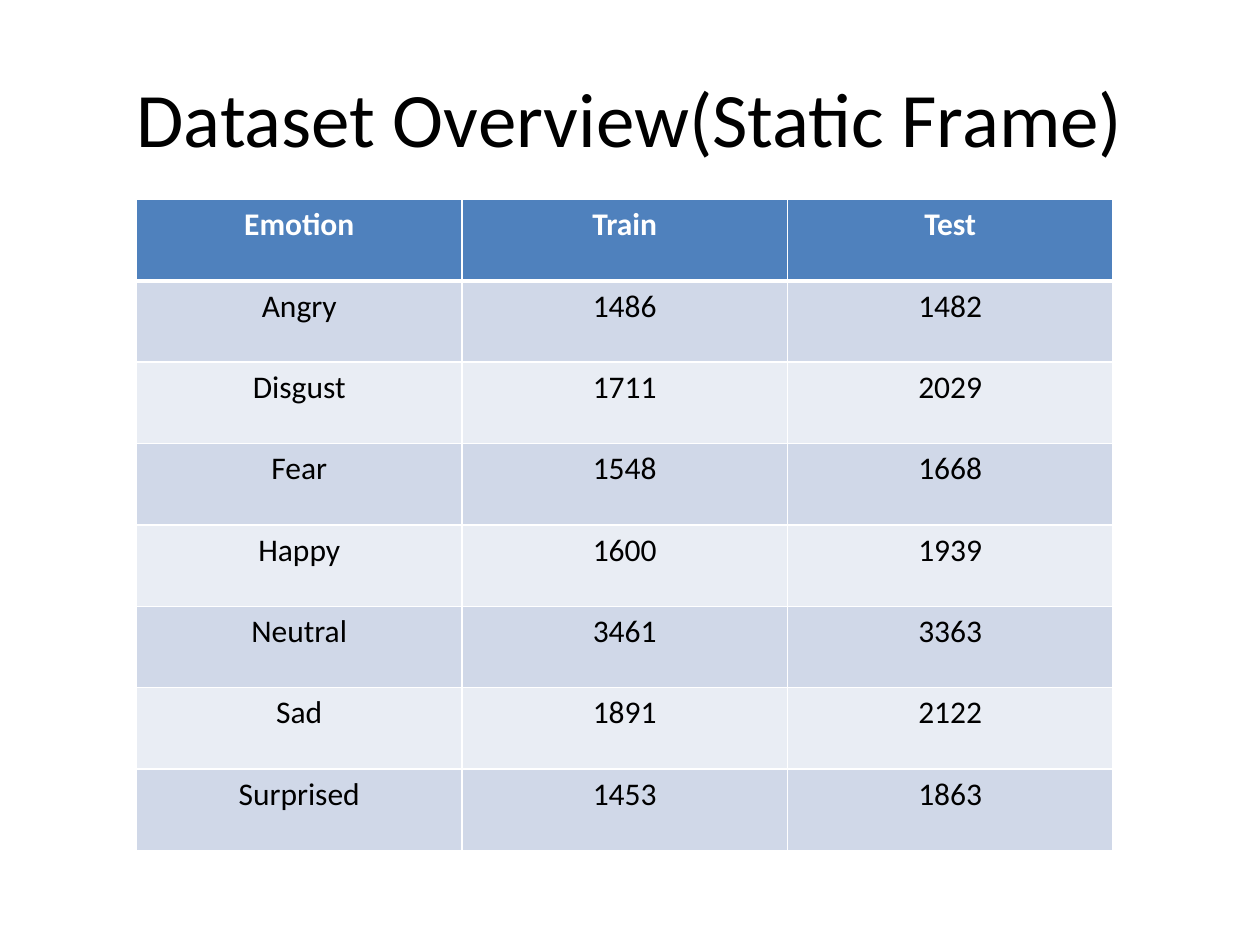
from lxml import etree
from pptx import Presentation
from pptx.dml.color import RGBColor
from pptx.enum.text import MSO_ANCHOR, PP_ALIGN
from pptx.oxml.ns import qn
from pptx.util import Pt

CENTER = PP_ALIGN.CENTER
MIDDLE = MSO_ANCHOR.MIDDLE
BLACK = RGBColor(0x00, 0x00, 0x00)
WHITE = RGBColor(0xFF, 0xFF, 0xFF)
HEADER_BLUE = RGBColor(0x4F, 0x81, 0xBD)
BAND_DARK = RGBColor(0xD0, 0xD8, 0xE8)
BAND_LIGHT = RGBColor(0xE9, 0xED, 0xF4)
FONT = "Calibri"

ROWS = [
    ("Emotion", "Train", "Test"),
    ("Angry", 1486, 1482),
    ("Disgust", 1711, 2029),
    ("Fear", 1548, 1668),
    ("Happy", 1600, 1939),
    ("Neutral", 3461, 3363),
    ("Sad", 1891, 2122),
    ("Surprised", 1453, 1863),
]


def format_paragraph(paragraph, size, color, bold=False):
    paragraph.alignment = CENTER
    font = paragraph.runs[0].font
    font.name = FONT
    font.size = Pt(size)
    font.bold = bold
    font.color.rgb = color


def add_border(cell, side, width):
    """Draw a white border on one side (L, R, T or B); call before filling the cell."""
    properties = cell._tc.get_or_add_tcPr()
    line = etree.SubElement(properties, qn(f"a:ln{side}"), w=str(Pt(width)))
    fill = etree.SubElement(line, qn("a:solidFill"))
    etree.SubElement(fill, qn("a:srgbClr"), val=str(WHITE))


presentation = Presentation()
presentation.slide_width = Pt(720)
presentation.slide_height = Pt(540)
slide = presentation.slides.add_slide(presentation.slide_layouts[6])

title = slide.shapes.add_textbox(Pt(36), Pt(21.6), Pt(648), Pt(90))
title.text_frame.word_wrap = True
title.text_frame.vertical_anchor = MIDDLE
title.text_frame.text = "Dataset Overview(Static Frame)"
format_paragraph(title.text_frame.paragraphs[0], 44, BLACK)

table = slide.shapes.add_table(
    len(ROWS), len(ROWS[0]), Pt(78), Pt(114), Pt(558), Pt(372)
).table

for row_index, values in enumerate(ROWS):
    is_header = row_index == 0
    if is_header:
        fill_color, text_color = HEADER_BLUE, WHITE
    else:
        fill_color = BAND_DARK if row_index % 2 else BAND_LIGHT
        text_color = BLACK
    border_widths = {
        "L": 1,
        "R": 1,
        "T": 3 if row_index == 1 else 1,
        "B": 3 if is_header else 1,
    }
    for column_index, value in enumerate(values):
        cell = table.cell(row_index, column_index)
        cell.text_frame.text = str(value)
        format_paragraph(cell.text_frame.paragraphs[0], 18, text_color, is_header)
        for side, width in border_widths.items():
            add_border(cell, side, width)
        cell.fill.solid()
        cell.fill.fore_color.rgb = fill_color

presentation.save("out.pptx")
